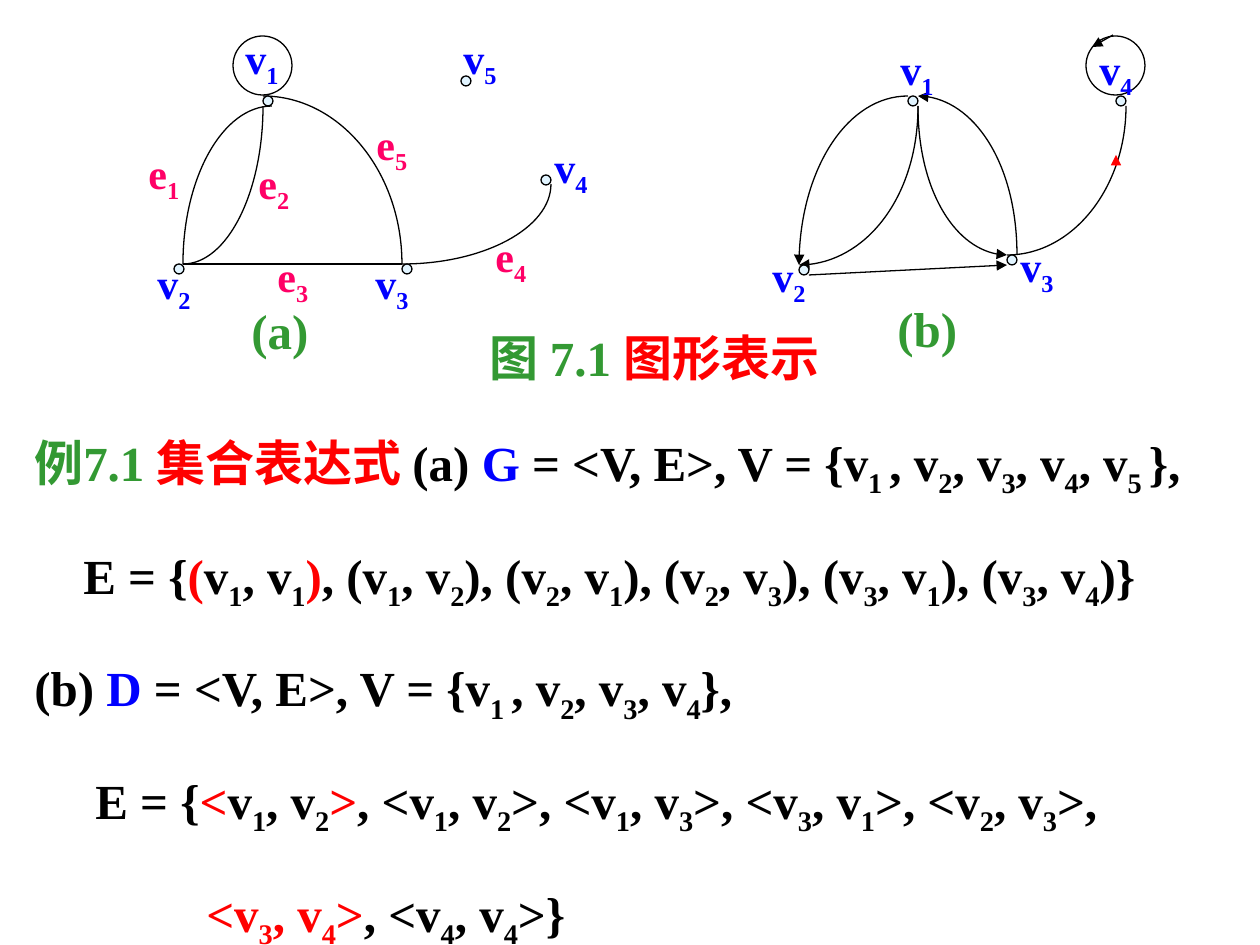
from dataclasses import dataclass
from typing import NamedTuple

from lxml.etree import SubElement
from pptx import Presentation
from pptx.dml.color import RGBColor as Color
from pptx.enum.shapes import MSO_CONNECTOR as Connector, MSO_SHAPE as Preset
from pptx.enum.text import PP_ALIGN as Align
from pptx.oxml.ns import qn
from pptx.util import Inches, Pt

SCALE = Inches(1) / 126
ARC = 0.55
NODE_SIZE, LOOP_SIZE = 10, 59


@dataclass(frozen=True)
class Theme:
    font: str = "Times New Roman"
    black: str = "000000"
    red: str = "FF0000"
    green: str = "339933"
    blue: str = "0000FF"
    pink: str = "FF0066"
    node: str = "E1F4FF"
    label_size: int = 24
    body_size: int = 28
    line_width: float = 0.75


THEME = Theme()


class Span(NamedTuple):
    text: str
    color: str = THEME.black


class Label(NamedTuple):
    left: int
    top: int
    width: int
    height: int
    span: Span
    size: int = THEME.label_size


class Edge(NamedTuple):
    x1: int
    y1: int
    x2: int
    y2: int
    arrow: str = ""
    color: str = THEME.black


class Line(NamedTuple):
    indent: int
    spans: list[Span]


def px(value: float) -> int:
    return round(value * SCALE)


def vertex(left: int, top: int, number: int) -> Label:
    return Label(left, top, 58, 71, Span(f"v_{number}", THEME.blue))


def edge_name(left: int, top: int, number: int) -> Label:
    return Label(left, top, 55, 71, Span(f"e_{number}", THEME.pink))


def add_run(para, text: str, color: str, size: int, subscript: bool = False) -> None:
    if not text:
        return
    run = para.add_run()
    run.text = text
    run.font.name = THEME.font
    run.font.size = Pt(size)
    run.font.bold = True
    run.font.color.rgb = Color.from_string(color)
    if subscript:
        run._r.get_or_add_rPr().set("baseline", "-25000")


def add_span(para, span: Span, size: int) -> None:
    plain, *pieces = span.text.split("_")
    add_run(para, plain, span.color, size)
    for piece in pieces:
        cut = 2 if piece[1:2] == " " else 1
        add_run(para, piece[:cut], span.color, size, subscript=True)
        add_run(para, piece[cut:], span.color, size)


def add_box(page, left: int, top: int, width: int, height: int):
    box = page.shapes.add_textbox(px(left), px(top), px(width), px(height))
    box.text_frame.word_wrap = True
    return box.text_frame


def add_label(page, label: Label) -> None:
    frame = add_box(page, *label[:4])
    frame.margin_right = 0
    add_span(frame.paragraphs[0], label.span, label.size)


def add_circle(page, left: int, top: int, size: int, fill: str = "") -> None:
    circle = page.shapes.add_shape(Preset.OVAL, px(left), px(top), px(size), px(size))
    circle.shadow.inherit = False
    if fill:
        circle.fill.solid()
        circle.fill.fore_color.rgb = Color.from_string(fill)
    else:
        circle.fill.background()
    circle.line.color.rgb = Color.from_string(THEME.black)
    circle.line.width = Pt(THEME.line_width)


def style_edge(shape, edge: Edge) -> None:
    shape.line.color.rgb = Color.from_string(edge.color)
    shape.line.width = Pt(THEME.line_width)
    properties = shape._element.spPr
    if edge.arrow:
        SubElement(properties.find(qn("a:ln")), qn(f"a:{edge.arrow}End"), type="triangle")
    SubElement(properties, qn("a:effectLst"))


def add_straight(page, edge: Edge) -> None:
    ends = [px(value) for value in edge[:4]]
    style_edge(page.shapes.add_connector(Connector.STRAIGHT, *ends), edge)


def add_curve(page, edge: Edge) -> None:
    builder = page.shapes.build_freeform(px(edge.x1), px(edge.y1))
    builder.add_line_segments([(px(edge.x2), px(edge.y2))], close=False)
    shape = builder.convert_to_shape()
    (x1, y1), (x2, y2) = [
        (int(point.get("x")), int(point.get("y")))
        for point in shape._element.iter(qn("a:pt"))
    ]
    segment = next(shape._element.iter(qn("a:lnTo")))
    curve = SubElement(segment.getparent(), qn("a:cubicBezTo"))
    segment.getparent().remove(segment)
    controls = [(x1 + ARC * (x2 - x1), y1), (x2, y2 - ARC * (y2 - y1)), (x2, y2)]
    for x, y in controls:
        SubElement(curve, qn("a:pt"), x=str(round(x)), y=str(round(y)))
    shape.fill.background()
    style_edge(shape, edge)


def add_title(page) -> None:
    frame = add_box(page, 461, 321, 387, 72)
    para = frame.paragraphs[0]
    para.alignment = Align.CENTER
    for span in (Span("图 7.1 ", THEME.green), Span("图形表示", THEME.red)):
        add_span(para, span, THEME.body_size)


def add_body(page, lines: list[Line]) -> None:
    frame = add_box(page, 10, 393, 1235, 536)
    for index, line in enumerate(lines):
        para = frame.add_paragraph() if index else frame.paragraphs[0]
        para.alignment = Align.JUSTIFY
        para.line_spacing = 1.5
        para.space_before = Pt(7 if index else 0)
        para._p.get_or_add_pPr().set("marL", str(px(line.indent)))
        for span in line.spans:
            add_span(para, span, THEME.body_size)


NODES = [(174, 264), (402, 264), (263, 96), (541, 175), (461, 76),
         (908, 96), (1116, 96), (1007, 255), (799, 265)]
LOOPS = [(233, 36), (1086, 36)]
CURVES = [
    Edge(272, 106, 183, 264), Edge(183, 264, 263, 106),
    Edge(402, 264, 551, 184), Edge(263, 96, 402, 264),
    Edge(799, 265, 918, 106, "head"), Edge(908, 96, 799, 265, "tail"),
    Edge(1007, 255, 1126, 106), Edge(918, 96, 1017, 255, "head"),
    Edge(1007, 255, 918, 106, "head"),
]
STRAIGHTS = [
    Edge(183, 264, 402, 264), Edge(809, 275, 1007, 265, "tail"),
    Edge(1116, 165, 1116, 155, "tail", THEME.red), Edge(1113, 35, 1092, 47, "tail"),
]
LABELS = [
    vertex(233, 26, 1), vertex(145, 251, 2), vertex(363, 251, 3),
    vertex(542, 135, 4), vertex(451, 26, 5),
    vertex(888, 37, 1), vertex(760, 244, 2), vertex(1008, 234, 3), vertex(1087, 37, 4),
    edge_name(136, 141, 1), edge_name(246, 151, 2), edge_name(265, 244, 3),
    edge_name(483, 224, 4), edge_name(364, 112, 5),
    Label(239, 294, 82, 72, Span("(a)", THEME.green), THEME.body_size),
    Label(885, 292, 84, 72, Span("(b)", THEME.green), THEME.body_size),
]
BODY = [
    Line(12, [Span("例7.1 ", THEME.green), Span("集合表达式 ", THEME.red), Span("(a) "),
              Span("G", THEME.blue), Span(" = <V, E>, V = {v_1 , v_2, v_3, v_4, v_5 },")]),
    Line(61, [Span("E = {"), Span("(", THEME.red), Span("v_1, v_1"), Span(")", THEME.red),
              Span(", (v_1, v_2), (v_2, v_1), (v_2, v_3), (v_3, v_1), (v_3, v_4)}")]),
    Line(12, [Span("(b) "), Span("D", THEME.blue),
              Span(" = <V, E>, V = {v_1 , v_2, v_3, v_4},")]),
    Line(73, [Span("E = {"), Span("<", THEME.red), Span("v_1, v_2"), Span(">", THEME.red),
              Span(", <v_1, v_2>, <v_1, v_3>, <v_3, v_1>, <v_2, v_3>,")]),
    Line(184, [Span("<v_3, v_4>", THEME.red), Span(", <v_4, v_4>}")]),
]


def main() -> None:
    deck = Presentation()
    deck.slide_width, deck.slide_height = px(1260), px(945)
    page = deck.slides.add_slide(deck.slide_layouts[6])
    add_title(page)
    for edge in CURVES:
        add_curve(page, edge)
    for edge in STRAIGHTS:
        add_straight(page, edge)
    for left, top in NODES:
        add_circle(page, left, top, NODE_SIZE, THEME.node)
    for left, top in LOOPS:
        add_circle(page, left, top, LOOP_SIZE)
    for label in LABELS:
        add_label(page, label)
    add_body(page, BODY)
    deck.save("out.pptx")


if __name__ == "__main__":
    main()
